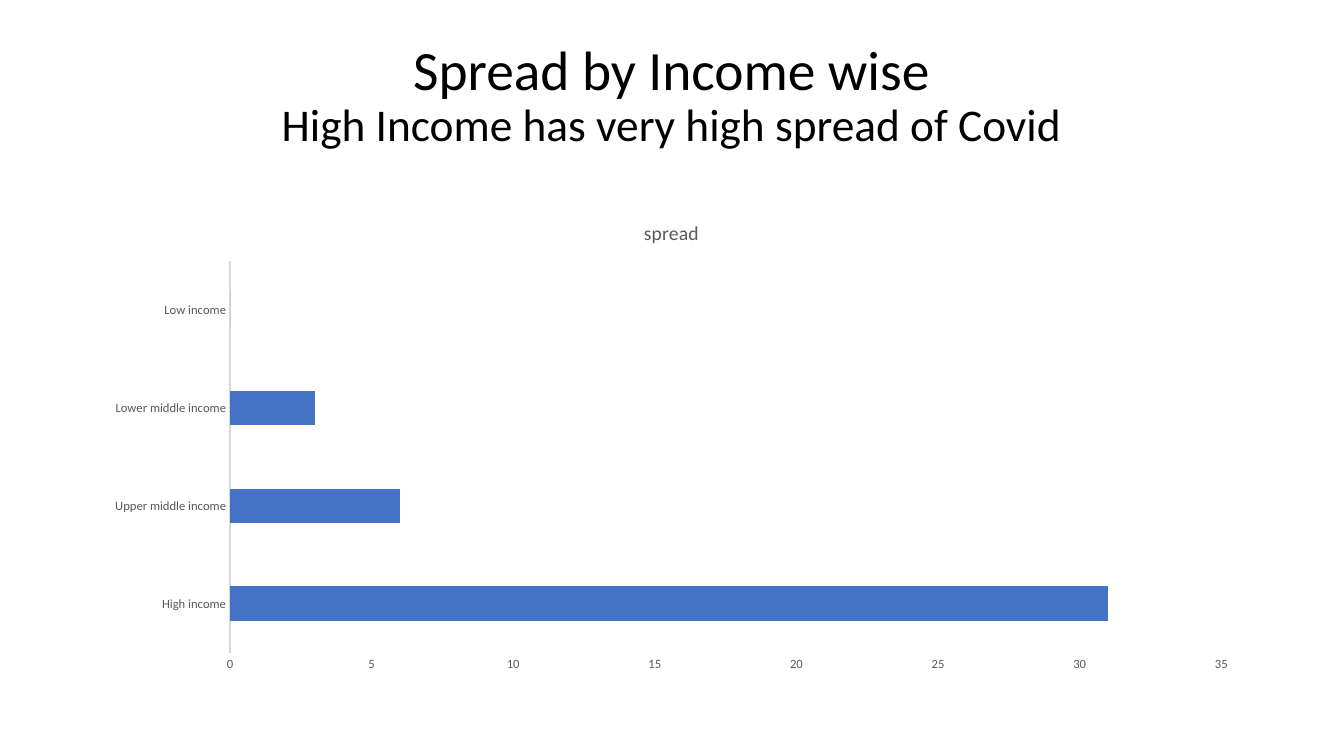
from pptx import Presentation
from pptx.chart.data import CategoryChartData
from pptx.dml.color import RGBColor
from pptx.enum.chart import XL_CHART_TYPE, XL_TICK_MARK
from pptx.enum.text import MSO_ANCHOR, PP_ALIGN
from pptx.util import Pt

SCALE = 914400 / 100.8
FONT = "Calibri"
BLACK = RGBColor(0x00, 0x00, 0x00)
GRAY = RGBColor(0x59, 0x59, 0x59)
RULE = RGBColor(0xD9, 0xD9, 0xD9)
BLUE = RGBColor(0x44, 0x72, 0xC4)

SPREAD = {
    "High income": 31,
    "Upper middle income": 6,
    "Lower middle income": 3,
    "Low income": 0,
}


def px(count):
    return round(count * SCALE)


def style(font, size, color):
    font.name = FONT
    font.size = Pt(size)
    font.bold = False
    font.color.rgb = color


def write(para, text, size=18, color=BLACK, align=PP_ALIGN.CENTER, space=None):
    para.alignment = align
    para.line_spacing = space
    run = para.add_run()
    run.text = text
    style(run.font, size, color)


def add_head(slide, left, top, width, height):
    box = slide.shapes.add_textbox(px(left), px(top), px(width), px(height))
    frame = box.text_frame
    frame.word_wrap = True
    frame.vertical_anchor = MSO_ANCHOR.BOTTOM
    frame.margin_top = 0
    frame.margin_bottom = px(3)
    para = frame.paragraphs[0]
    write(para, "Spread by Income wise", size=39.6, space=0.9)
    para.add_line_break()
    write(para, "High Income has very high spread of Covid",
          size=32.4, space=0.9)


def add_bars(slide, left, top, width, height):
    data = CategoryChartData()
    data.categories = list(SPREAD)
    data.add_series("spread", list(SPREAD.values()))
    chart = slide.shapes.add_chart(
        XL_CHART_TYPE.BAR_CLUSTERED,
        px(left), px(top), px(width), px(height), data).chart
    style(chart.font, 10, BLACK)
    chart.has_legend = False
    chart.has_title = True
    chart.chart_title.include_in_layout = False
    write(chart.chart_title.text_frame.paragraphs[0], "spread",
          size=14, color=GRAY)

    plot = chart.plots[0]
    plot.gap_width = 182
    plot.vary_by_categories = False
    fill = plot.series[0].format.fill
    fill.solid()
    fill.fore_color.rgb = BLUE

    for axis in (chart.category_axis, chart.value_axis):
        axis.has_major_gridlines = False
        axis.major_tick_mark = axis.minor_tick_mark = XL_TICK_MARK.NONE
        style(axis.tick_labels.font, 9, GRAY)
    line = chart.category_axis.format.line
    line.color.rgb = RULE
    line.width = Pt(0.75)

    scale = chart.value_axis
    scale.format.line.fill.background()
    scale.minimum_scale = 0
    scale.maximum_scale = 35
    scale.major_unit = 5
    scale.tick_labels.number_format = "0"
    scale.tick_labels.number_format_is_linked = False


def main():
    deck = Presentation()
    deck.slide_width = px(1344)
    deck.slide_height = px(756)
    slide = deck.slides.add_slide(deck.slide_layouts[6])
    add_head(slide, 92, 106, 1159, 48)
    add_bars(slide, 92, 201, 1159, 480)
    deck.save("out.pptx")


if __name__ == "__main__":
    main()
